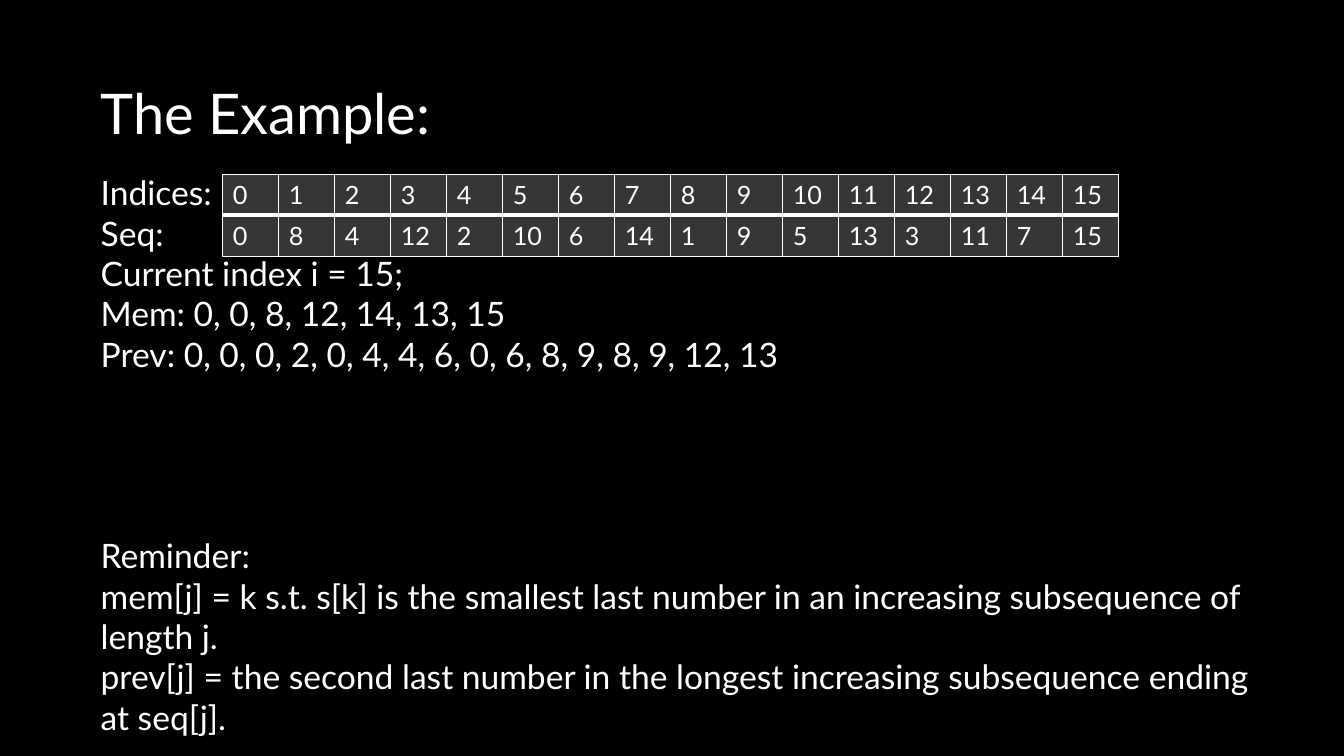
from lxml.etree import SubElement
from pptx import Presentation
from pptx.dml.color import RGBColor
from pptx.oxml.ns import qn
from pptx.util import Pt

TITLE = "The Example:"
STATE = [
    "Indices:",
    "Seq:",
    "Current index i = 15;",
    "Mem: 0, 0, 8, 12, 14, 13, 15",
    "Prev: 0, 0, 0, 2, 0, 4, 4, 6, 0, 6, 8, 9, 8, 9, 12, 13",
]
REMINDER = [
    "Reminder:",
    "mem[j] = k s.t. s[k] is the smallest last number in an increasing "
    "subsequence of length j.",
    "prev[j] = the second last number in the longest increasing "
    "subsequence ending at seq[j].",
]
SEQ = [0, 8, 4, 12, 2, 10, 6, 14, 1, 9, 5, 13, 3, 11, 7, 15]
ROWS = [list(range(len(SEQ))), SEQ]

FONT = "Lato"
BLACK = RGBColor(0x00, 0x00, 0x00)
WHITE = RGBColor(0xFF, 0xFF, 0xFF)
GRAY = RGBColor(0x36, 0x36, 0x36)

COL_W, ROW_H = 40, 29.2
THIN, THICK = 1, 3
REMINDER_GAP = 115.2  # four lines of 24 pt text


def add_run(p, text, size):
    r = p.add_run()
    r.text = text
    r.font.name = FONT
    r.font.size = Pt(size)
    r.font.color.rgb = WHITE


def add_text(s, left, top, width, height, lines, size):
    tf = s.shapes.add_textbox(Pt(left), Pt(top), Pt(width), Pt(height)).text_frame
    tf.word_wrap = True
    for i, line in enumerate(lines):
        p = tf.add_paragraph() if i else tf.paragraphs[0]
        add_run(p, line, size)
    return tf


def set_borders(cell, top, bottom):
    """Draw white cell edges; the sides are always thin."""
    tc_pr = cell._tc.get_or_add_tcPr()
    for side, width in (("L", THIN), ("R", THIN), ("T", top), ("B", bottom)):
        ln = SubElement(tc_pr, qn(f"a:ln{side}"), w=str(Pt(width)))
        SubElement(SubElement(ln, qn("a:solidFill")), qn("a:srgbClr"), val=str(WHITE))


def add_sequence_table(s, left, top):
    shape = s.shapes.add_table(len(ROWS), len(SEQ), Pt(left), Pt(top),
                               Pt(COL_W * len(SEQ)), Pt(ROW_H * len(ROWS)))
    table = shape.table
    for col in table.columns:
        col.width = Pt(COL_W)
    for i, values in enumerate(ROWS):
        table.rows[i].height = Pt(ROW_H)
        edges = (THICK, THIN) if i else (THIN, THICK)
        for j, value in enumerate(values):
            cell = table.cell(i, j)
            set_borders(cell, *edges)
            cell.fill.solid()
            cell.fill.fore_color.rgb = GRAY
            p = cell.text_frame.paragraphs[0]
            add_run(p, str(value), 18)
            p.runs[0].font.bold = False


def main():
    prs = Presentation()
    prs.slide_width, prs.slide_height = Pt(960), Pt(540)
    s = prs.slides.add_slide(prs.slide_layouts[6])
    s.background.fill.solid()
    s.background.fill.fore_color.rgb = BLACK

    add_text(s, 64.8, 52.6, 658.8, 55.4, [TITLE], 40)
    body = add_text(s, 64.8, 119.5, 855.4, 414.7, STATE + REMINDER, 24)
    body.paragraphs[len(STATE)].space_before = Pt(REMINDER_GAP)
    add_sequence_table(s, 159.1, 124.6)
    prs.save("out.pptx")


if __name__ == "__main__":
    main()
